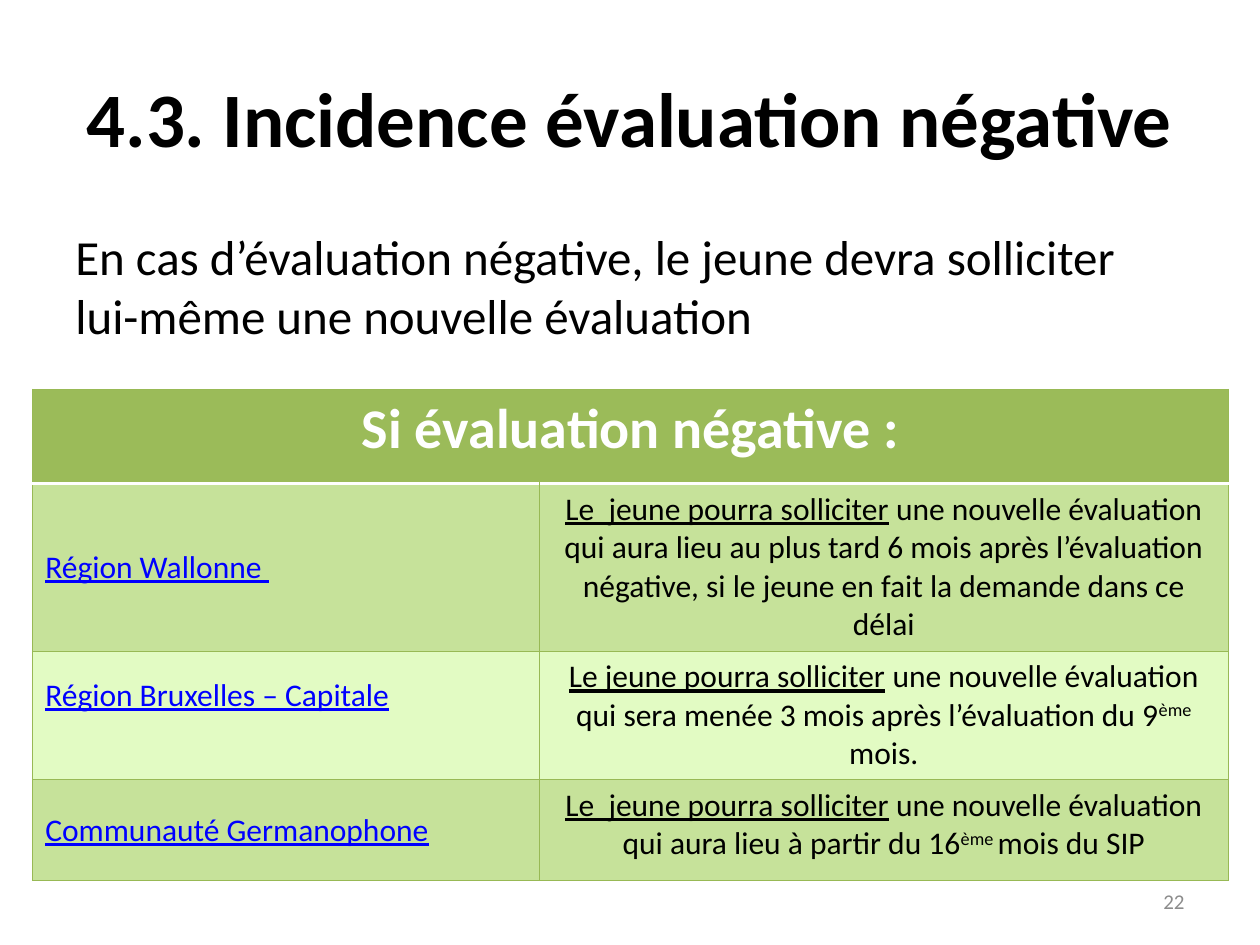
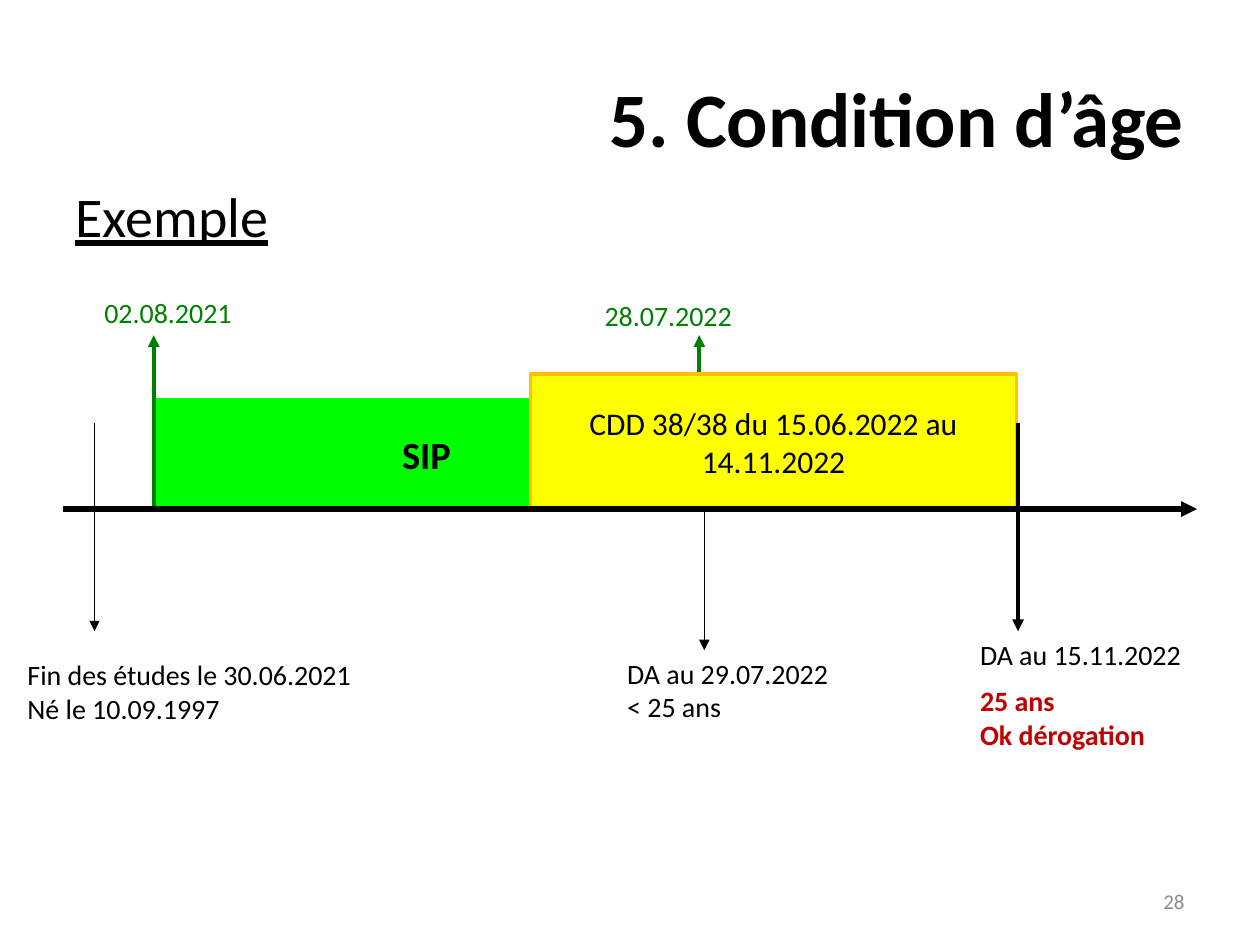
from lxml.etree import SubElement
from pptx import Presentation
from pptx.dml.color import RGBColor
from pptx.enum.shapes import MSO_CONNECTOR, MSO_SHAPE
from pptx.enum.text import MSO_ANCHOR, PP_ALIGN
from pptx.oxml.ns import qn
from pptx.util import Inches, Pt

# Shared look
FONT = "Calibri"
BLACK, WHITE, GREY = "000000", "FFFFFF", "8C8C8C"
LINK, DATE_GREEN, RED = "0000FF", "008000", "C00000"
HEADER_GREEN, BORDER_GREEN = "9BBB59", "98B955"
ROW_DARK, ROW_LIGHT = "C6E29A", "E2FBC3"
LEFT, CENTER, RIGHT = PP_ALIGN.LEFT, PP_ALIGN.CENTER, PP_ALIGN.RIGHT


def color(hex_code):
    return RGBColor.from_string(hex_code)


def write(frame, paragraphs, size, ink=BLACK, bold=False, align=LEFT,
          anchor=MSO_ANCHOR.TOP):
    """Each paragraph is a list of (text, style); style is "", "u" or "sup"."""
    frame.word_wrap = True
    frame.vertical_anchor = anchor
    for index, runs in enumerate(paragraphs):
        paragraph = frame.paragraphs[0] if index == 0 else frame.add_paragraph()
        paragraph.alignment = align
        for text, style in runs:
            run = paragraph.add_run()
            run.text = text
            run.font.name = FONT
            run.font.size = Pt(size)
            run.font.bold = bold
            run.font.underline = style == "u"
            run.font.color.rgb = color(ink)
            if style == "sup":
                run._r.get_or_add_rPr().set("baseline", "30000")


def plain(*lines):
    return [[(line, "")] for line in lines]


def add_text(slide, box, paragraphs, size, **style):
    label = slide.shapes.add_textbox(*map(Inches, box))
    write(label.text_frame, paragraphs, size, **style)


def add_block(slide, box, text, size, fill, outline, bold=False):
    block = slide.shapes.add_shape(MSO_SHAPE.RECTANGLE, *map(Inches, box))
    block.shadow.inherit = False
    block.fill.solid()
    block.fill.fore_color.rgb = color(fill)
    block.line.color.rgb = color(outline)
    block.line.width = Pt(2)
    write(block.text_frame, plain(text), size, bold=bold, align=CENTER,
          anchor=MSO_ANCHOR.MIDDLE)


def add_arrow(slide, start, end, width, ink=BLACK):
    arrow = slide.shapes.add_connector(
        MSO_CONNECTOR.STRAIGHT, *map(Inches, start + end))
    arrow.line.color.rgb = color(ink)
    arrow.line.width = Pt(width)
    SubElement(arrow.line._get_or_add_ln(), qn("a:tailEnd"), type="triangle")
    SubElement(arrow._element.spPr, qn("a:effectLst"))


def set_border(cell, side, ink, width):
    edge = SubElement(cell._tc.get_or_add_tcPr(), qn(f"a:ln{side}"),
                      w=str(Pt(width)))
    fill = SubElement(edge, qn("a:solidFill"))
    SubElement(fill, qn("a:srgbClr"), val=ink)


def style_cell(cell, fill, white_side=None):
    for side in "LRTB":
        if side == white_side:
            set_border(cell, side, WHITE, 2)
        else:
            set_border(cell, side, BORDER_GREEN, 0.75)
    cell.fill.solid()
    cell.fill.fore_color.rgb = color(fill)


def write_cell(cell, runs, size, anchor=MSO_ANCHOR.TOP, **style):
    write(cell.text_frame, [runs], size, **style)
    cell.vertical_anchor = anchor


def add_page(deck, title, number, title_align):
    slide = deck.slides.add_slide(deck.slide_layouts[6])
    add_text(slide, (0.5, 0.3, 9, 1.25), plain(title), 44, bold=True,
             align=title_align, anchor=MSO_ANCHOR.MIDDLE)
    add_text(slide, (7.17, 6.95, 2.33, 0.4), plain(number), 12, ink=GREY,
             align=RIGHT, anchor=MSO_ANCHOR.MIDDLE)
    return slide


def add_region_table(slide, header, regions):
    heights = (0.75, 1.33, 1.02, 0.8)
    widths = (4.02, 5.47)
    table = slide.shapes.add_table(
        len(heights), len(widths), Inches(0.26), Inches(3.09),
        Inches(sum(widths)), Inches(sum(heights))).table
    for column, width in zip(table.columns, widths):
        column.width = Inches(width)
    for row, height in zip(table.rows, heights):
        row.height = Inches(height)

    # Header across both columns
    for column in range(len(widths)):
        style_cell(table.cell(0, column), HEADER_GREEN, white_side="B")
    table.cell(0, 0).merge(table.cell(0, 1))
    write_cell(table.cell(0, 0), [(header, "")], 32, ink=WHITE, bold=True,
               align=CENTER)

    # One row per region
    for row, (region, rule) in enumerate(regions, start=1):
        name_cell, rule_cell = table.cell(row, 0), table.cell(row, 1)
        for cell in (name_cell, rule_cell):
            style_cell(cell, ROW_DARK if row % 2 else ROW_LIGHT,
                       white_side="T" if row == 1 else None)
        write_cell(name_cell, [(region, "u")], 18, ink=LINK,
                   anchor=MSO_ANCHOR.MIDDLE)
        write_cell(rule_cell, rule, 18, align=CENTER)
    # The Brussels name sits a little above the middle
    table.cell(2, 0).margin_bottom = Inches(0.37)


def build_negative_evaluation(deck):
    slide = add_page(deck, "4.3. Incidence évaluation négative", "22", CENTER)
    add_text(slide, (0.5, 1.75, 9, 4.95), plain(
        "En cas d’évaluation négative, le jeune devra solliciter "
        "lui-même une nouvelle évaluation"), 28)
    add_region_table(slide, "Si évaluation négative :", [
        ("Région Wallonne ", [
            ("Le  jeune pourra solliciter", "u"),
            (" une nouvelle évaluation qui aura lieu au plus tard 6 mois après "
             "l’évaluation négative, si le jeune en fait la demande dans ce "
             "délai", "")]),
        ("Région Bruxelles – Capitale", [
            ("Le jeune pourra solliciter", "u"),
            (" une nouvelle évaluation qui sera menée 3 mois après "
             "l’évaluation du 9", ""),
            ("ème", "sup"), (" mois.", "")]),
        ("Communauté Germanophone", [
            ("Le  jeune pourra solliciter", "u"),
            (" une nouvelle évaluation qui aura lieu à partir du 16", ""),
            ("ème ", "sup"), ("mois du SIP", "")]),
    ])


def build_age_condition(deck):
    slide = add_page(deck, "5. Condition d’âge", "28", RIGHT)
    add_text(slide, (0.5, 1.39, 9, 5.31), [[("Exemple", "u")]], 32)
    axis_y = 4.04
    sip_start, sip_end = 1.22, 5.55

    # SIP period with its start and end dates
    add_block(slide, (sip_start, 3.17, sip_end - sip_start, 0.87), "SIP", 22,
              "00FF00", "00FF00", bold=True)
    for x in (sip_start, sip_end):
        add_arrow(slide, (x, axis_y), (x, 2.66), 2.25, DATE_GREEN)
    add_text(slide, (0.73, 2.3, 1.26, 0.37), plain("02.08.2021"), 16,
             ink=DATE_GREEN)
    add_text(slide, (4.7, 2.32, 2.1, 0.37), plain("28.07.2022"), 16,
             ink=DATE_GREEN)

    # Events; the contract block covers the top of the second arrow
    add_arrow(slide, (0.75, 3.36), (0.75, 5.01), 1)
    add_arrow(slide, (5.59, 3.19), (5.59, 5.16), 0.75)
    add_block(slide, (4.21, 2.97, 3.86, 1.07),
              "CDD 38/38 du 15.06.2022 au 14.11.2022", 18, "FFFF00", "FFC000")
    add_arrow(slide, (0.5, axis_y), (9.5, axis_y), 3)
    add_arrow(slide, (8.08, 3.36), (8.08, 5.01), 2.25)

    # Event captions
    add_text(slide, (0.12, 5.17, 2.9, 0.64),
             plain("Fin des études le 30.06.2021", "Né le 10.09.1997"), 16)
    add_text(slide, (4.88, 5.16, 2.1, 0.64),
             plain("DA au 29.07.2022", "< 25 ans"), 16)
    add_text(slide, (7.68, 5.01, 2.07, 0.37), plain("DA au 15.11.2022"), 16)
    add_text(slide, (7.68, 5.38, 1.97, 0.64),
             plain("25 ans", "Ok dérogation"), 16, ink=RED, bold=True)


def main():
    deck = Presentation()
    deck.slide_width, deck.slide_height = Inches(10), Inches(7.5)
    build_negative_evaluation(deck)
    build_age_condition(deck)
    deck.save("out.pptx")


if __name__ == "__main__":
    main()
